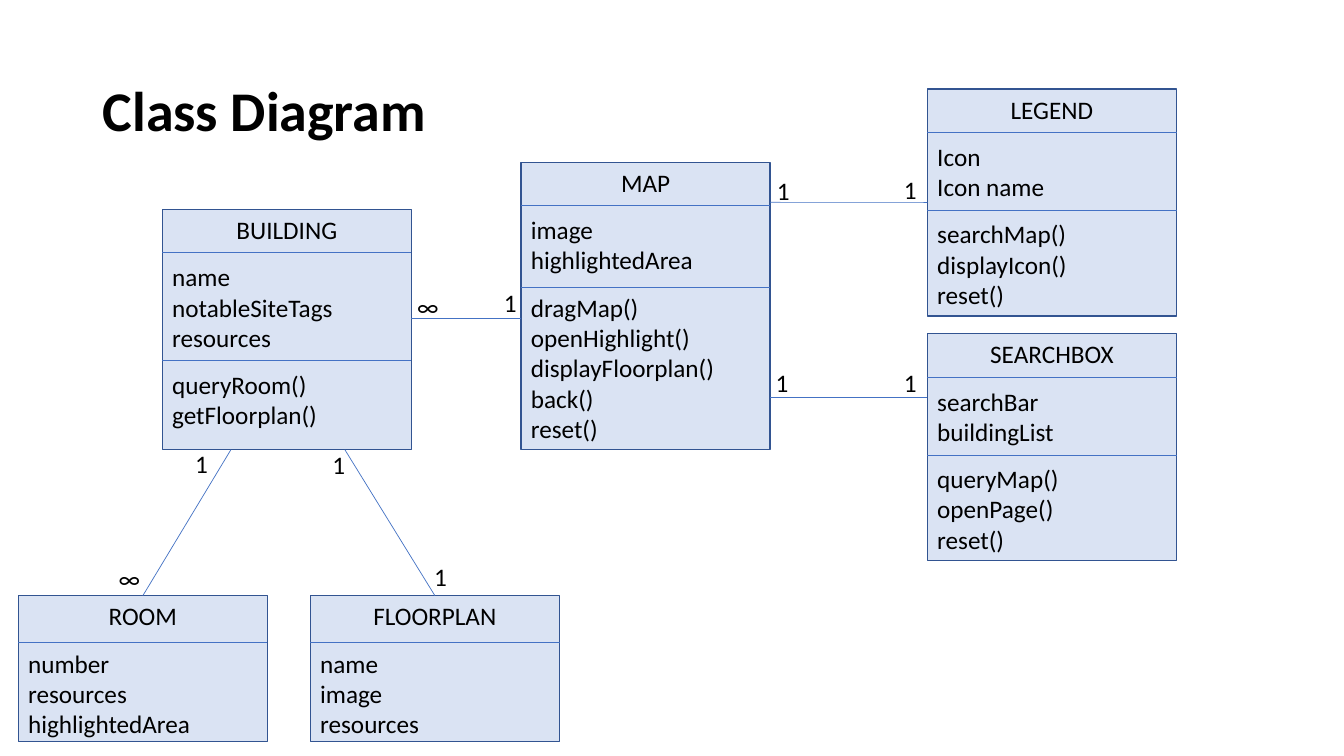
from lxml import etree
from pptx import Presentation
from pptx.dml.color import RGBColor as Rgb
from pptx.enum.shapes import MSO_CONNECTOR as Link, MSO_SHAPE as Form
from pptx.enum.text import MSO_ANCHOR as Anchor, PP_ALIGN as Align
from pptx.oxml.ns import qn
from pptx.util import Cm, Pt

HUE = {"fill": "DAE3F3", "edge": "325491", "line": "4472C4", "text": "000000"}
WIDE = 6.28  # width of every class box

deck = Presentation()
deck.slide_width, deck.slide_height = Cm(33.87), Cm(19.05)
slide = deck.slides.add_slide(deck.slide_layouts[6])
items = slide.shapes


def write(frame, parts, size=18, bold=False, anchor=Anchor.TOP, head=None, space=1.0):
    """Write groups of lines, with a gap before each group but the first."""
    frame.word_wrap = True
    frame.vertical_anchor = anchor
    rows = [(line, g > 0 and n == 0)
            for g, part in enumerate(parts) for n, line in enumerate(part)]
    for n, (line, gap) in enumerate(rows):
        para = frame.paragraphs[0] if n == 0 else frame.add_paragraph()
        para.alignment = head if head and n == 0 else Align.LEFT
        para.line_spacing = space
        if gap:
            para.space_before = Pt(12.2)
        run = para.add_run()
        run.text = line
        run.font.name, run.font.size, run.font.bold = "Calibri", Pt(size), bold
        run.font.color.rgb = Rgb.from_string(HUE["text"])


def join(x1, y1, x2, y2):
    wire = items.add_connector(Link.STRAIGHT, Cm(x1), Cm(y1), Cm(x2), Cm(y2))
    wire.line.color.rgb = Rgb.from_string(HUE["line"])
    wire.line.width = Pt(0.5)
    etree.SubElement(wire._element.spPr, qn("a:effectLst"))
    return wire


# Title
title = items.add_textbox(Cm(2.34), Cm(1.02), Cm(31.06), Cm(3.68))
write(title.text_frame, [["Class Diagram"]], size=40, bold=True,
      anchor=Anchor.MIDDLE, space=0.9)

# Class boxes: name, left, top, height, divider offsets, groups of members
models = [
    ("MAP", 13.13, 4.09, 7.24, [1.09, 3.15],
     [["image", "highlightedArea"],
      ["dragMap()", "openHighlight()", "displayFloorplan()", "back()", "reset()"]]),
    ("BUILDING", 4.09, 5.28, 6.05, [1.07, 3.79],
     [["name", "notableSiteTags", "resources"], ["queryRoom()", "getFloorplan()"]]),
    ("FLOORPLAN", 7.82, 15.01, 3.68, [1.17], [["name", "image", "resources"]]),
    ("ROOM", 0.46, 15.01, 3.68, [1.17], [["number", "resources", "highlightedArea"]]),
    ("LEGEND", 23.37, 2.24, 5.72, [1.09, 3.07],
     [["Icon", "Icon name"], ["searchMap()", "displayIcon()", "reset()"]]),
    ("SEARCHBOX", 23.37, 8.41, 5.72, [1.09, 3.07],
     [["searchBar", "buildingList"], ["queryMap()", "openPage()", "reset()"]]),
]
boxes = {}
for name, x, y, high, cuts, parts in models:
    box = items.add_shape(Form.RECTANGLE, Cm(x), Cm(y), Cm(WIDE), Cm(high))
    box.shadow.inherit = False
    box.fill.solid()
    box.fill.fore_color.rgb = Rgb.from_string(HUE["fill"])
    box.line.color.rgb = Rgb.from_string(HUE["edge"])
    box.line.width = Pt(1)
    write(box.text_frame, [[name], *parts], head=Align.CENTER)
    boxes[name] = box
    for cut in cuts:
        join(x, y + cut, x + WIDE, y + cut)

# Relations between classes; some end at the middle of a side
join(19.41, 5.1, 23.37, 5.1).end_connect(boxes["LEGEND"], 1)
join(19.41, 10.01, 23.37, 10.01)
join(10.37, 8.03, 13.13, 8.03)
join(3.6, 15.01, 5.82, 11.33).begin_connect(boxes["ROOM"], 0)
join(10.96, 15.01, 8.69, 11.33).begin_connect(boxes["FLOORPLAN"], 0)

# Multiplicities
counts = [
    ("1", 22.53, 4.27), ("1", 19.33, 4.29), ("1", 19.3, 9.14), ("1", 22.53, 9.14),
    ("1", 4.67, 11.18), ("∞", 10.26, 7.21), ("∞", 2.74, 14.07), ("1", 12.45, 7.11),
    ("1", 8.13, 11.2), ("1", 10.69, 14.02),
]
for mark, x, y in counts:
    label = items.add_textbox(Cm(x), Cm(y), Cm(0.89), Cm(1.02))
    write(label.text_frame, [[mark]])

deck.save("out.pptx")
